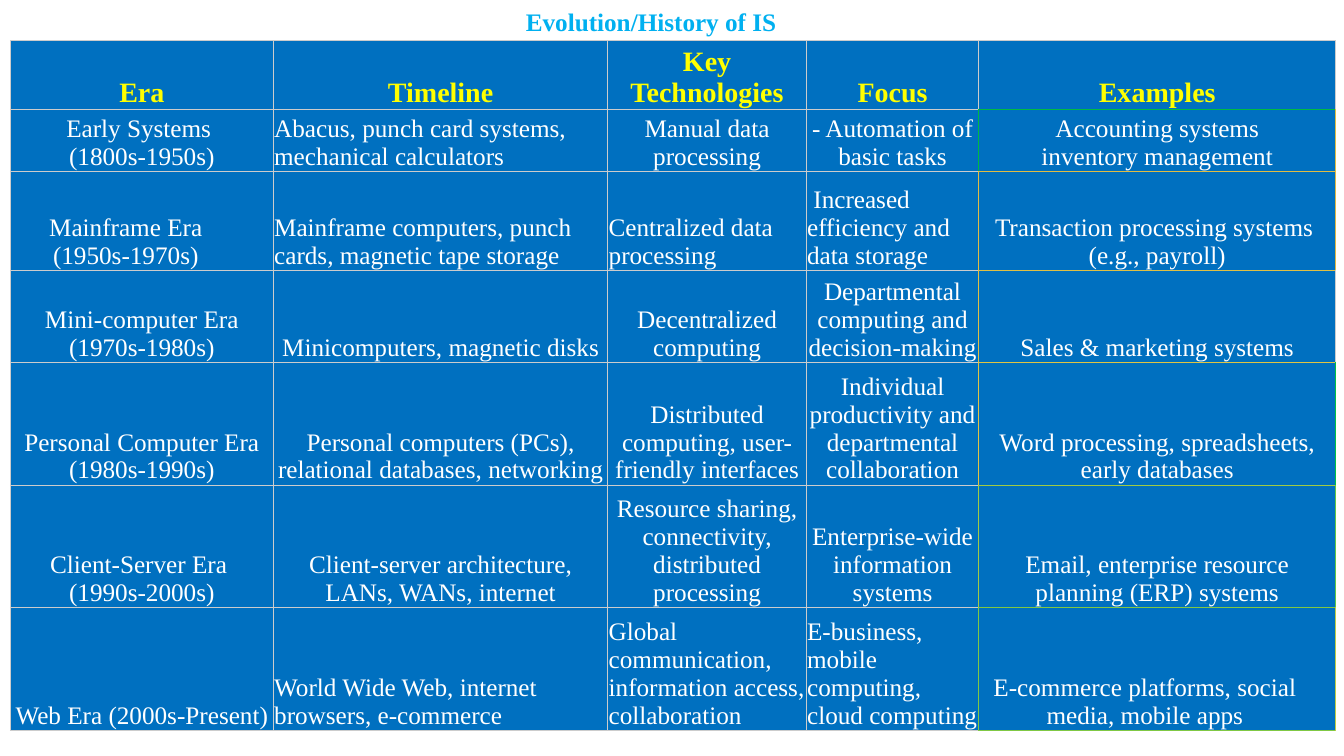
from dataclasses import dataclass

from lxml.etree import SubElement
from pptx import Presentation
from pptx.dml.color import RGBColor
from pptx.enum.text import MSO_ANCHOR, MSO_AUTO_SIZE, PP_ALIGN
from pptx.oxml.ns import qn
from pptx.util import Cm, Pt

FONT = "Times New Roman"
BLUE, GREY, WHITE, YELLOW, SKY = "0070C0", "CCCCCC", "FFFFFF", "FFFF00", "00B0F0"
COL_WIDTHS = (6.63, 8.43, 5, 4.35, 8.99)
TABLE_HEIGHT = 17.32
MARGIN = 0.02
HEADERS = ("Era", "Timeline", "Key Technologies", "Focus", "Examples")


@dataclass(frozen=True)
class Row:
    height: float
    texts: tuple[str, ...]
    edge: str
    right: str
    left_aligned: tuple[int, ...] = ()
    indented_column: int = -1
    indent: float = 0


ROWS = (
    Row(0.94, HEADERS, GREY, GREY),
    Row(0.69, ("Early Systems \n(1800s-1950s)",
               "Abacus, punch card systems, mechanical calculators",
               "Manual data processing",
               "- Automation of basic tasks",
               "Accounting systems\ninventory management"),
        "00BB44", "E0BD44", (1,)),
    Row(2.49, ("Mainframe Era\n(1950s-1970s)",
               "Mainframe computers, punch cards, magnetic tape storage",
               "Centralized data processing",
               " Increased efficiency and data storage",
               "Transaction processing systems \n(e.g., payroll)"),
        "E0BC44", "E0B844", (1, 2, 3), 0, 0.81),
    Row(1.32, ("Mini-computer Era (1970s-1980s)",
               "Minicomputers, magnetic disks",
               "Decentralized computing",
               "Departmental computing and decision-making",
               "Sales & marketing systems"),
        "E0C044", GREY),
    Row(0, ("Personal Computer Era (1980s-1990s)",
            "Personal computers (PCs), relational databases, networking",
            "Distributed computing, user-friendly interfaces",
            "Individual productivity and departmental collaboration",
            "Word processing, spreadsheets, early databases"),
        "E0C444", "00C344"),
    Row(2.11, ("Client-Server Era \n(1990s-2000s)",
               "Client-server architecture, LANs, WANs, internet",
               "Resource sharing, connectivity, distributed processing",
               "Enterprise-wide information systems",
               "Email, enterprise resource planning (ERP) systems"),
        "A0CA44", "60C944"),
    Row(2.49, ("Web Era (2000s-Present)",
               "World Wide Web, internet browsers, e-commerce",
               "Global communication, information access, collaboration",
               "E-business, mobile computing, cloud computing",
               "E-commerce platforms, social\nmedia, mobile apps"),
        "80C844", "C0CD44", (1, 2, 3), 4, 0.62),
)


def rgb(value: str) -> RGBColor:
    return RGBColor.from_string(value)


def add_run(p, text: str, size: float, color: str, bold: bool) -> None:
    r = p.add_run()
    r.text = text
    r.font.name = FONT
    r.font.size = Pt(size)
    r.font.bold = bold
    r.font.color.rgb = rgb(color)


def set_indent(p, side: str, length: float) -> None:
    p._p.get_or_add_pPr().set(side, str(Cm(length)))


def set_borders(cell, left: str, right: str, top: str, bottom: str) -> None:
    tc_pr = cell._tc.get_or_add_tcPr()
    for side, color in zip("LRTB", (left, right, top, bottom)):
        ln = SubElement(tc_pr, qn(f"a:ln{side}"), w=str(Pt(0.75)))
        fill = SubElement(ln, qn("a:solidFill"))
        SubElement(fill, qn("a:srgbClr"), val=color)


def fill_cell(cell, text: str, align: PP_ALIGN, header: bool,
              side_margin: float, indent: float) -> None:
    cell.fill.solid()
    cell.fill.fore_color.rgb = rgb(BLUE)
    cell.vertical_anchor = MSO_ANCHOR.BOTTOM
    cell.margin_left = cell.margin_right = Cm(side_margin)
    cell.margin_top = cell.margin_bottom = Cm(MARGIN)
    tf = cell.text_frame
    for i, line in enumerate(text.split("\n")):
        p = tf.add_paragraph() if i else tf.paragraphs[0]
        p.alignment = align
        if indent and i == 0:
            set_indent(p, "marR", indent)
        add_run(p, line, 20 if header else 18, YELLOW if header else WHITE, header)


def add_title(s) -> None:
    sp = s.shapes.title
    sp.left, sp.top, sp.width, sp.height = Cm(4.78), Cm(-0.08), Cm(20.62), Cm(1.09)
    tf = sp.text_frame
    tf.word_wrap = True
    tf.auto_size = MSO_AUTO_SIZE.SHAPE_TO_FIT_TEXT
    tf.vertical_anchor = MSO_ANCHOR.TOP
    p = tf.paragraphs[0]
    p.alignment = PP_ALIGN.CENTER
    p.line_spacing = 1.15
    p.space_after = Pt(10)
    set_indent(p, "marL", 2.64)
    add_run(p, "Evolution/History of IS", 18, SKY, True)


def add_history_table(s) -> None:
    frame = s.shapes.add_table(len(ROWS), len(COL_WIDTHS), Cm(0.26), Cm(1.02),
                               Cm(sum(COL_WIDTHS)), Cm(TABLE_HEIGHT))
    table = frame.table
    table.horz_banding = False
    for column, width in zip(table.columns, COL_WIDTHS):
        column.width = Cm(width)
    last = len(COL_WIDTHS) - 1
    for i, row in enumerate(ROWS):
        table.rows[i].height = Cm(row.height)
        below = ROWS[min(i + 1, len(ROWS) - 1)].edge
        for j, text in enumerate(row.texts):
            cell = table.cell(i, j)
            if j == last:
                set_borders(cell, row.edge, row.right, row.edge, below)
            else:
                set_borders(cell, GREY, row.edge if j == last - 1 else GREY, GREY, GREY)
            align = PP_ALIGN.LEFT if j in row.left_aligned else PP_ALIGN.CENTER
            fill_cell(cell, text, align, i == 0, 0 if i and j == last else MARGIN,
                      row.indent if j == row.indented_column else 0)
    frame.height = Cm(TABLE_HEIGHT)


def main() -> None:
    prs = Presentation()
    prs.slide_width, prs.slide_height = Cm(33.87), Cm(19.05)
    s = prs.slides.add_slide(prs.slide_layouts[5])
    add_title(s)
    add_history_table(s)
    prs.save("out.pptx")


if __name__ == "__main__":
    main()
